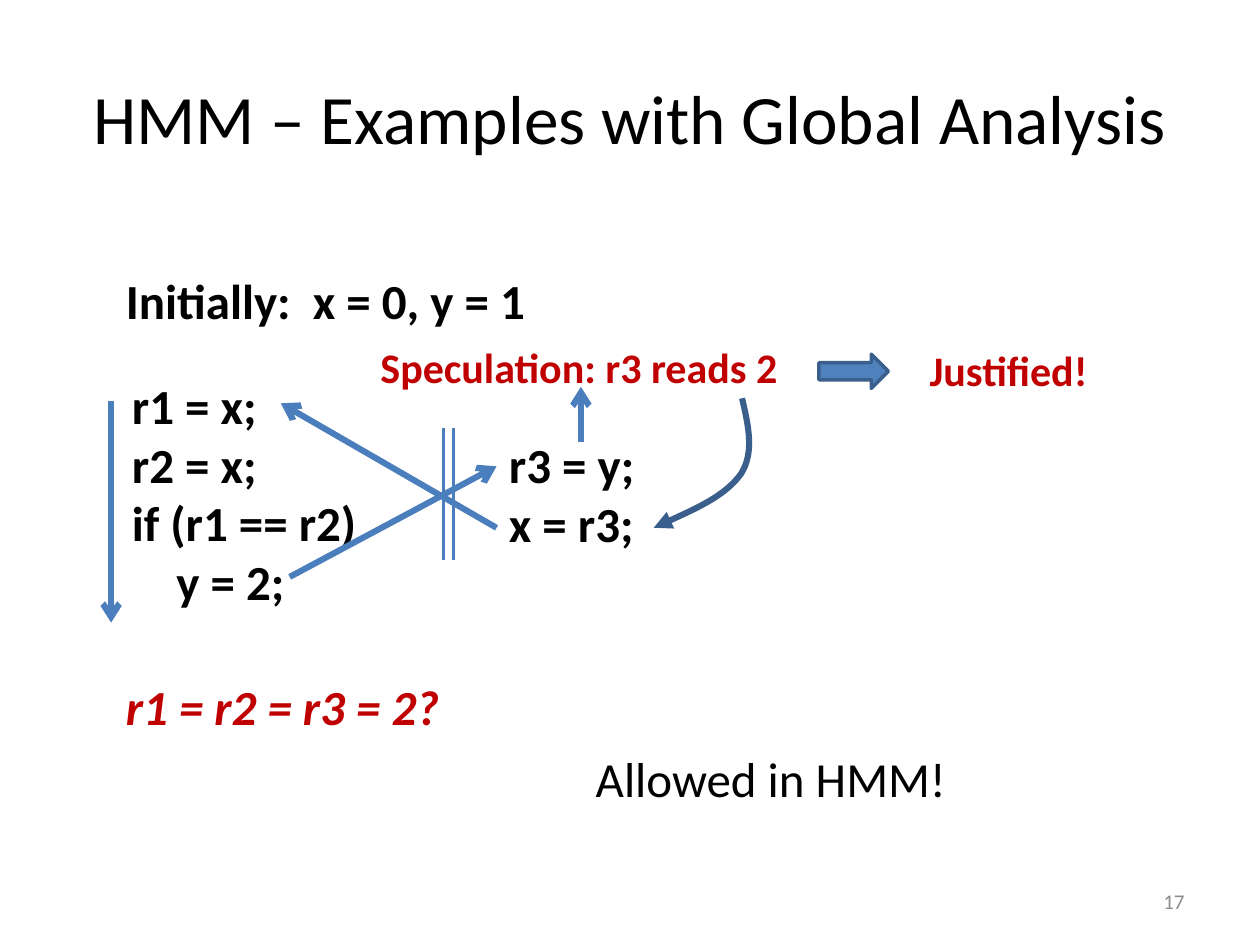
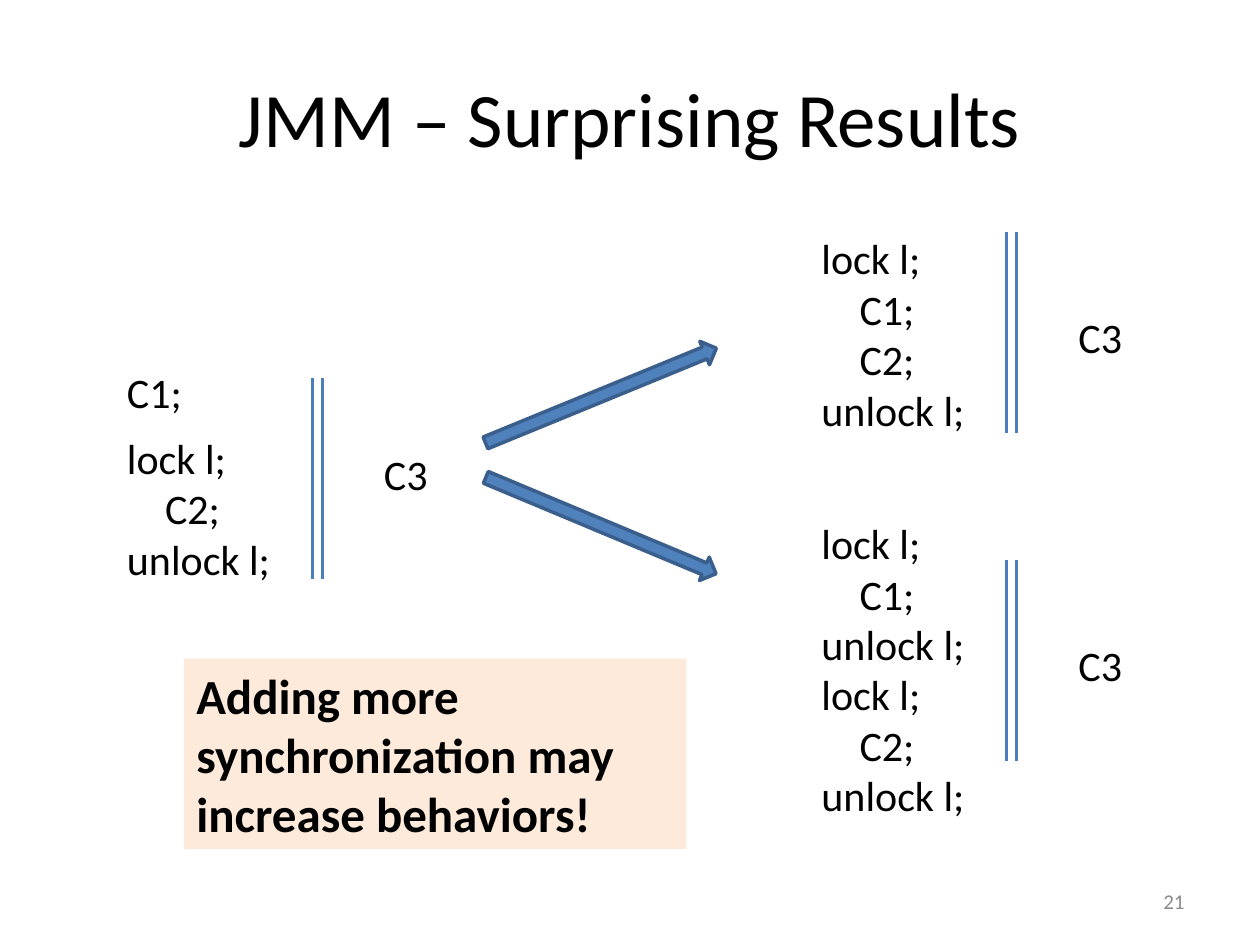
from lxml import etree
from pptx import Presentation
from pptx.dml.color import RGBColor
from pptx.enum.shapes import MSO_CONNECTOR, MSO_SHAPE
from pptx.enum.text import MSO_ANCHOR, MSO_AUTO_SIZE, PP_ALIGN
from pptx.oxml.ns import qn
from pptx.util import Cm, Pt

# Shared look
FONT = "Calibri"
BLACK = RGBColor(0x00, 0x00, 0x00)
RED = RGBColor(0xC0, 0x00, 0x00)
GREY = RGBColor(0x8C, 0x8C, 0x8C)
BLUE = RGBColor(0x4F, 0x81, 0xBD)
LINE_BLUE = RGBColor(0x4B, 0x7E, 0xBC)
DARK_BLUE = RGBColor(0x3A, 0x5F, 0x8C)
PEACH = RGBColor(0xFD, 0xEA, 0xDA)

STRAIGHT = MSO_CONNECTOR.STRAIGHT
RIGHT_ARROW = MSO_SHAPE.RIGHT_ARROW
RECTANGLE = MSO_SHAPE.RECTANGLE
MIDDLE = MSO_ANCHOR.MIDDLE
GROW = MSO_AUTO_SIZE.SHAPE_TO_FIT_TEXT
LEFT, CENTER, RIGHT = PP_ALIGN.LEFT, PP_ALIGN.CENTER, PP_ALIGN.RIGHT

THIN, THICK = 2, 3.5
BAR_GAP = 0.2
INDENT_PER_POINT = 0.032  # code indent in cm for each point of text size


def lengths(values):
    return [Cm(value) for value in values]


# Text
def write_lines(shape, lines, size, color=BLACK, bold=False, italic=False,
                align=LEFT):
    """Write one paragraph a line; a leading tab marks indented code."""
    frame = shape.text_frame
    frame.word_wrap = True
    for index, line in enumerate(lines):
        paragraph = frame.paragraphs[0] if index == 0 else frame.add_paragraph()
        paragraph.alignment = align
        if line.startswith("\t"):
            indent = Cm(INDENT_PER_POINT * size)
            paragraph._p.get_or_add_pPr().set("marL", str(indent))
        run = paragraph.add_run()
        run.text = line.strip()
        font = run.font
        font.name, font.size, font.color.rgb = FONT, Pt(size), color
        font.bold, font.italic = bold, italic


def add_text(slide, box, lines, size, **style):
    shape = slide.shapes.add_textbox(*lengths(box))
    write_lines(shape, lines, size, **style)
    shape.text_frame.auto_size = GROW


def add_centered_band(slide, box, text, size, **style):
    shape = slide.shapes.add_textbox(*lengths(box))
    write_lines(shape, [text], size, **style)
    shape.text_frame.vertical_anchor = MIDDLE


def add_slide(presentation, title, title_size, number):
    slide = presentation.slides.add_slide(presentation.slide_layouts[6])
    add_centered_band(slide, (1.27, 0.76, 22.86, 3.18), title, title_size,
                      align=CENTER)
    add_centered_band(slide, (18.21, 17.65, 5.92, 1.02), str(number), 12,
                      color=GREY, align=RIGHT)
    return slide


# Lines and arrows
def style_line(line, color, width, head=None):
    line.color.rgb = color
    line.width = Pt(width)
    if head:
        etree.SubElement(line._get_or_add_ln(), qn("a:tailEnd"), type=head)


def add_line(shapes, start, end, width, head=None):
    connector = shapes.add_connector(STRAIGHT, *lengths(start + end))
    style_line(connector.line, LINE_BLUE, width, head)
    etree.SubElement(connector._element.spPr, qn("a:effectLst"))


def add_parallel_bars(slide, left, top, height):
    """Two upright lines that separate concurrent threads."""
    group = slide.shapes.add_group_shape()
    for x in (left, left + BAR_GAP):
        add_line(group.shapes, (x, top), (x, top + height), THIN)


def add_curved_arrow(slide, start, *points):
    """Draw cubic curves; each three points are two controls and an end."""
    builder = slide.shapes.build_freeform(*lengths(start))
    builder.add_line_segments([lengths(point) for point in points], close=False)
    shape = builder.convert_to_shape()
    shape.shadow.inherit = False
    shape.fill.background()
    style_line(shape.line, DARK_BLUE, THICK, "triangle")
    segments = list(shape._element.iter(qn("a:lnTo")))
    for index in range(0, len(segments), 3):
        curve = etree.Element(qn("a:cubicBezTo"))
        segments[index].addprevious(curve)
        for segment in segments[index:index + 3]:
            curve.append(segment[0])
            segment.getparent().remove(segment)


def add_block_arrow(slide, box, rotation=0):
    arrow = slide.shapes.add_shape(RIGHT_ARROW, *lengths(box))
    arrow.rotation = rotation
    arrow.shadow.inherit = False
    arrow.fill.solid()
    arrow.fill.fore_color.rgb = BLUE
    style_line(arrow.line, DARK_BLUE, THIN)


def add_callout(slide, box, text):
    callout = slide.shapes.add_shape(RECTANGLE, *lengths(box))
    callout.shadow.inherit = False
    callout.fill.solid()
    callout.fill.fore_color.rgb = PEACH
    callout.line.fill.background()
    write_lines(callout, [text], 28, bold=True)
    callout.text_frame.auto_size = GROW


# Slides
def build_global_analysis(presentation):
    slide = add_slide(presentation, "HMM – Examples with Global Analysis",
                      39.6, 17)

    # Program and question
    add_text(slide, (2.41, 7.44, 6.53, 5.05),
             ["r1 = x;", "r2 = x;", "if (r1 == r2)", "\ty = 2;"], 28, bold=True)
    add_text(slide, (10.01, 8.64, 3.53, 2.64), ["r3 = y;", "x = r3;"], 28,
             bold=True)
    add_parallel_bars(slide, 8.94, 8.62, 2.67)
    add_text(slide, (2.29, 5.33, 10.26, 1.45), ["Initially:  x = 0, y = 1"], 28,
             bold=True)
    add_text(slide, (2.29, 13.51, 7.72, 1.45), ["r1 = r2 = r3 = 2?"], 28,
             color=RED, bold=True, italic=True)

    # Speculation, justification and verdict
    add_text(slide, (7.42, 6.76, 9.91, 1.27), ["Speculation: r3 reads 2"], 24,
             color=RED, bold=True)
    add_text(slide, (18.49, 6.83, 4.22, 1.27), ["Justified!"], 24, color=RED,
             bold=True)
    add_text(slide, (11.76, 14.96, 8.2, 1.45), ["Allowed in HMM!"], 28)
    add_block_arrow(slide, (16.51, 7.14, 1.4, 0.69))

    # Order and data flow
    flows = [
        ((5.84, 11.63), (10.01, 9.4)),
        ((10.01, 10.64), (5.66, 8.13)),
        ((2.24, 8.08), (2.24, 12.55)),
        ((11.71, 8.92), (11.71, 7.8)),
    ]
    for start, end in flows:
        add_line(slide.shapes, start, end, THICK, "arrow")
    add_curved_arrow(slide, (14.96, 8.03),
                     (15.09, 8.59), (15.21, 9.12), (14.94, 9.55),
                     (14.63, 9.98), (13.92, 10.31), (13.18, 10.64))


def build_surprising_results(presentation):
    slide = add_slide(presentation, "JMM – Surprising Results", 44, 21)
    bar_height = 4.06

    # Starting program
    add_text(slide, (2.31, 7.26, 1.8, 1.27), ["C1;"], 24)
    add_text(slide, (2.31, 8.59, 3.61, 3.33), ["lock l;", "\tC2;", "unlock l;"],
             24)
    add_parallel_bars(slide, 6.3, 7.62, bar_height)
    add_text(slide, (7.49, 8.92, 1.8, 1.27), ["C3"], 24)

    # Two programs with more synchronization
    variants = [
        (4.57, 4.37, 4.67, ["lock l;", "\tC1;", "\tC2;", "unlock l;"]),
        (10.31, 6.4, 11.28, ["lock l;", "\tC1;", "unlock l;",
                             "lock l;", "\tC2;", "unlock l;"]),
    ]
    for code_top, code_height, bar_top, code in variants:
        add_text(slide, (16.31, code_top, 3.61, code_height), code, 24)
        add_parallel_bars(slide, 20.29, bar_top, bar_height)
        add_text(slide, (21.49, bar_top + 1.48, 1.8, 1.27), ["C3"], 24)

    # Arrows to the variants, and the conclusion
    for top, rotation in ((7.72, 337.7), (10.34, 22.7)):
        add_block_arrow(slide, (9.6, top, 5.03, 0.51), rotation)
    add_callout(slide, (3.71, 13.28, 10.13, 3.84),
                "Adding more synchronization may increase behaviors!")


def main():
    presentation = Presentation()
    presentation.slide_width, presentation.slide_height = Cm(25.4), Cm(19.05)
    build_global_analysis(presentation)
    build_surprising_results(presentation)
    presentation.save("out.pptx")


main()
